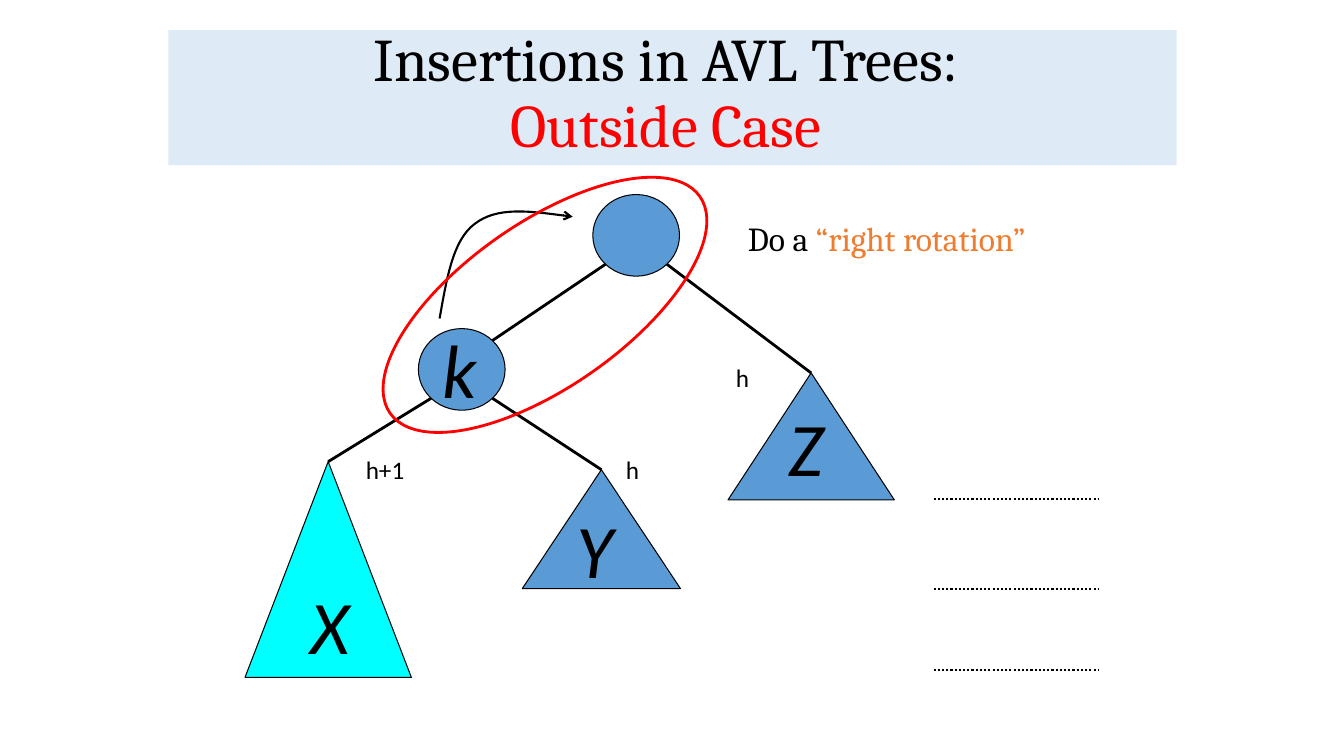
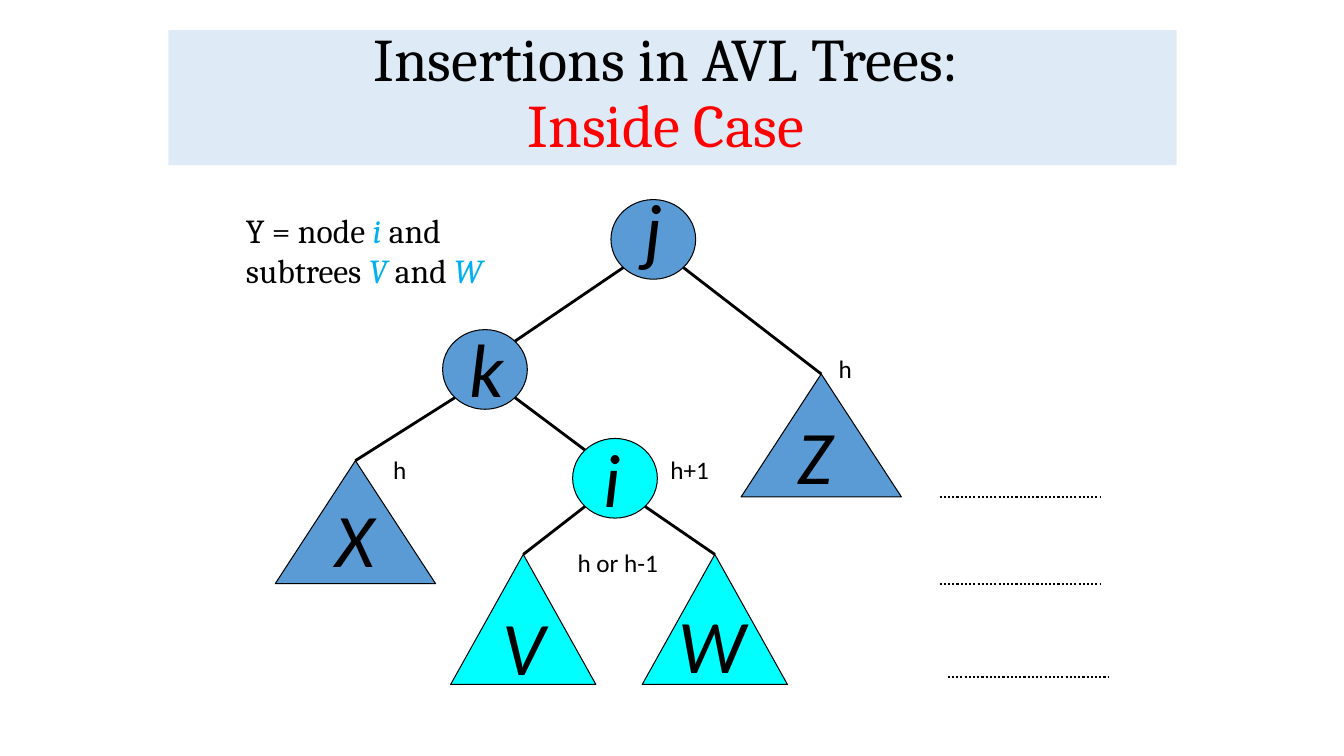
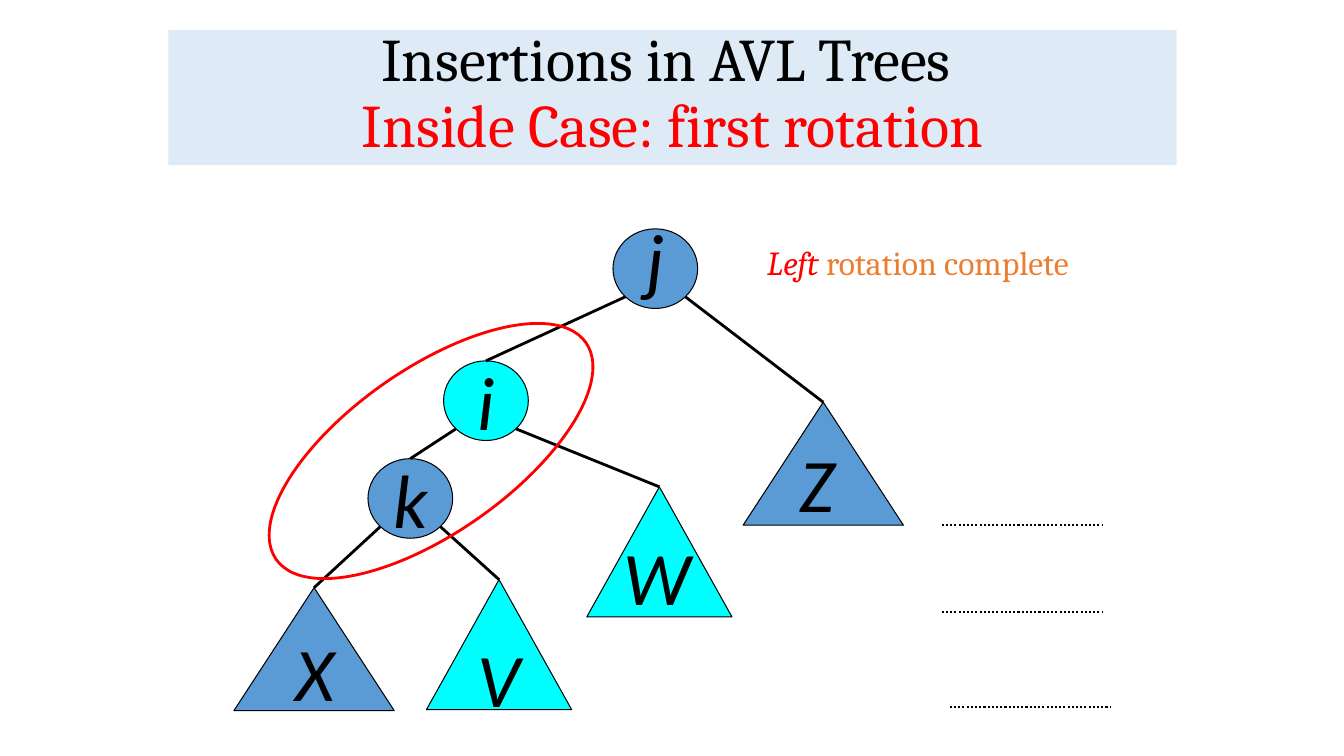
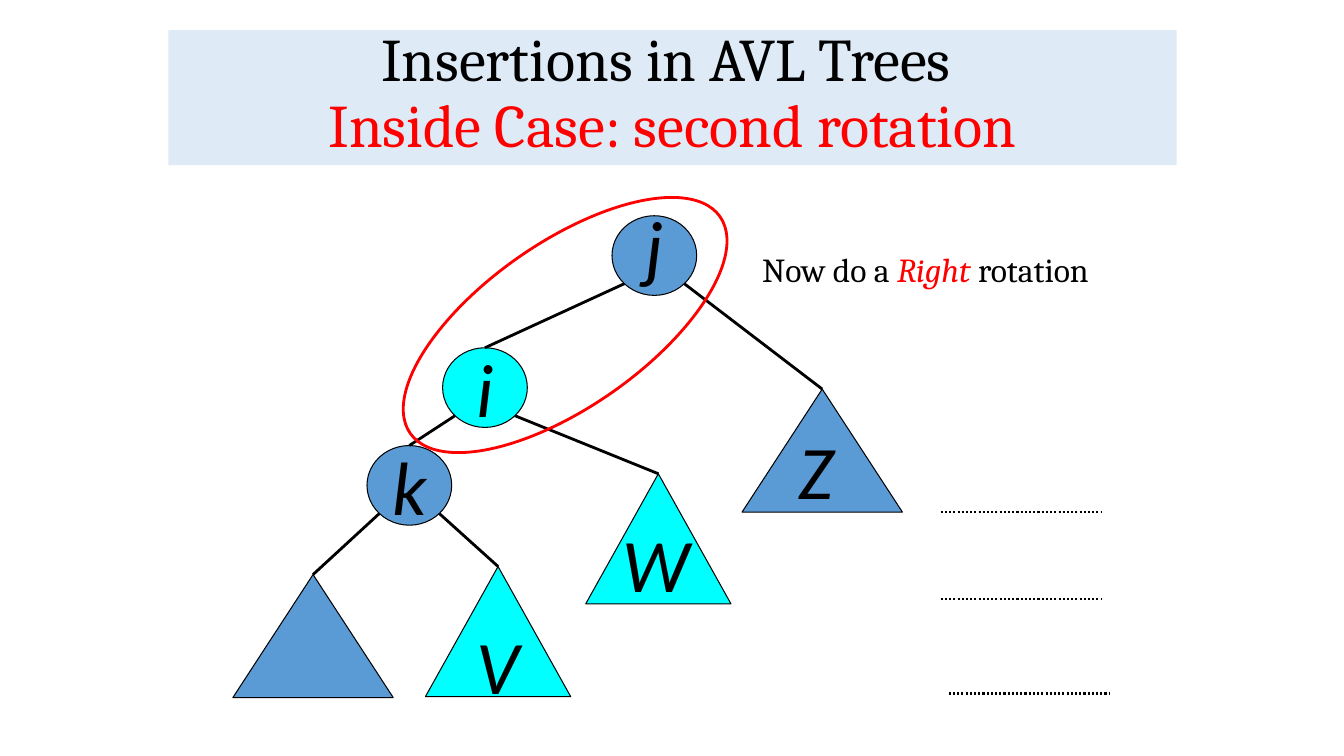
from dataclasses import dataclass
from math import sqrt
from typing import Optional

from lxml import etree
from pptx import Presentation
from pptx import util as u
from pptx.dml.color import RGBColor
from pptx.enum import dml, shapes, text
from pptx.oxml.ns import qn

BLACK = RGBColor(0x00, 0x00, 0x00)
RED = RGBColor(0xFF, 0x00, 0x00)
ORANGE = RGBColor(0xED, 0x7D, 0x31)
SKY = RGBColor(0x00, 0xB0, 0xF0)
BLUE = RGBColor(0x5B, 0x9B, 0xD5)
CYAN = RGBColor(0x00, 0xFF, 0xFF)
BAND = RGBColor(0xDE, 0xEB, 0xF7)

HEADING_FONT = "Cambria"
BODY_FONT = "Calibri"
CIRCLE = shapes.MSO_SHAPE.OVAL
TRIANGLE = shapes.MSO_SHAPE.ISOSCELES_TRIANGLE


@dataclass
class Node:
    """A tree node or subtree, placed relative to the tree's origin."""
    left: float
    top: float
    width: float
    height: float
    colour: RGBColor
    label_offset: Optional[tuple] = None  # None centres the label in the shape
    kind: shapes.MSO_SHAPE = TRIANGLE


def circle(left, top, colour, label_offset=None, size=(0.84, 0.79)):
    return Node(left, top, *size, colour, label_offset, CIRCLE)


def box_lengths(*lengths):
    return [u.Inches(length) for length in lengths]


# Text
def style_font(font, name, size, colour=None, italic=None):
    font.name, font.size, font.italic = name, u.Pt(size), italic
    if colour is not None:
        font.color.rgb = colour


def add_runs(paragraph, runs):
    for words, colour, italic in runs:
        run = paragraph.add_run()
        run.text = words
        run.font.color.rgb = colour
        if italic:
            run.font.italic = True


def add_text_box(slide, box, wrap=False):
    frame = slide.shapes.add_textbox(*box_lengths(*box)).text_frame
    frame.word_wrap = wrap
    frame.auto_size = text.MSO_AUTO_SIZE.SHAPE_TO_FIT_TEXT
    return frame


def add_note(slide, box, *lines):
    frame = add_text_box(slide, box)
    for index, runs in enumerate(lines):
        paragraph = frame.add_paragraph() if index else frame.paragraphs[0]
        style_font(paragraph.font, HEADING_FONT, 24)
        add_runs(paragraph, runs)


def add_height(slide, left, top, words, width=0.36):
    paragraph = add_text_box(slide, (left, top, width, 0.43)).paragraphs[0]
    paragraph.text = words
    style_font(paragraph.font, BODY_FONT, 18, BLACK)


def write_letter(frame, letter):
    paragraph = frame.paragraphs[0]
    paragraph.text = letter
    style_font(paragraph.font, BODY_FONT, 54, BLACK, True)
    return paragraph


# Shapes and lines
def add_outlined(slide, kind, box, fill, line_colour, line_width):
    shape = slide.shapes.add_shape(kind, *box_lengths(*box))
    shape.shadow.inherit = False
    if fill is None:
        shape.fill.background()
    else:
        shape.fill.solid()
        shape.fill.fore_color.rgb = fill
    shape.line.color.rgb = line_colour
    shape.line.width = u.Pt(line_width)
    return shape


def add_line(slide, start, end, width, dash=None):
    connector = slide.shapes.add_connector(
        shapes.MSO_CONNECTOR.STRAIGHT, *box_lengths(*start, *end))
    connector.line.color.rgb = BLACK
    connector.line.width = u.Pt(width)
    if dash is not None:
        connector.line.dash_style = dash
    etree.SubElement(connector.element.spPr, qn("a:effectLst"))
    return connector


def add_ring(slide, left, top):
    ring = add_outlined(slide, CIRCLE, (left, top, 3.75, 1.63), None, RED, 2)
    ring.rotation = 325


def add_rotation_arrow(slide, points):
    """Draw a curve through start point plus groups of three Bézier points."""
    start, *rest = [tuple(box_lengths(*point)) for point in points]
    builder = slide.shapes.build_freeform(*start)
    builder.add_line_segments(rest, close=False)
    arrow = builder.convert_to_shape()
    arrow.shadow.inherit = False
    arrow.fill.background()
    arrow.line.color.rgb = BLACK
    arrow.line.width = u.Pt(1.5)
    # Turn each three straight segments into one cubic segment
    outline = arrow.element.spPr.find(".//" + qn("a:path"))
    segments = outline.findall(qn("a:lnTo"))
    for index, segment in enumerate(segments):
        if index % 3 == 0:
            curve = etree.SubElement(outline, qn("a:cubicBezTo"))
        curve.append(segment[0])
        outline.remove(segment)
    line = arrow.element.spPr.find(qn("a:ln"))
    etree.SubElement(line, qn("a:tailEnd"), type="arrow")


# Regions
def add_title(slide, heading, case):
    band = slide.shapes.add_shape(
        shapes.MSO_SHAPE.RECTANGLE, *box_lengths(1.67, 0.3, 10, 1.34))
    band.shadow.inherit = False
    band.fill.solid()
    band.fill.fore_color.rgb = BAND
    band.line.fill.background()
    frame = band.text_frame
    frame.word_wrap = True
    frame.vertical_anchor = text.MSO_ANCHOR.BOTTOM
    paragraph = frame.paragraphs[0]
    paragraph.alignment = text.PP_ALIGN.CENTER
    paragraph.line_spacing = 0.9
    style_font(paragraph.font, HEADING_FONT, 43.2)
    add_runs(paragraph, [(heading, BLACK, False)])
    paragraph.add_line_break()
    add_runs(paragraph, [(case, RED, False)])


def draw_node(slide, origin, node, letter):
    left, top = origin[0] + node.left, origin[1] + node.top
    shape = add_outlined(slide, node.kind, (left, top, node.width, node.height),
                         node.colour, BLACK, 0.75)
    if letter and node.label_offset:
        across, down = node.label_offset
        frame = add_text_box(slide, (left + across, top + down, 0.52, 1), True)
        write_letter(frame, letter)
    elif letter:
        frame = shape.text_frame
        frame.word_wrap = False
        frame.vertical_anchor = text.MSO_ANCHOR.MIDDLE
        write_letter(frame, letter).alignment = text.PP_ALIGN.CENTER
    return shape


def corner(origin, node, side, down):
    """Point on a circle's diagonal; side and down are -1 or 1."""
    return (origin[0] + node.left + node.width / 2 * (1 + side / sqrt(2)),
            origin[1] + node.top + node.height / 2 * (1 + down / sqrt(2)))


def draw_tree(slide, origin, nodes, edges, corner_edges=(), unlabelled=""):
    """Edges are parent and child letters; corner edges meet a child's diagonal."""
    drawn = {letter: draw_node(slide, origin, node,
                               "" if letter in unlabelled else letter)
             for letter, node in nodes.items()}
    for edge in (*edges, *corner_edges):
        parent, child = (nodes[letter] for letter in edge)
        side = 1 if child.left > parent.left + parent.width / 2 else -1
        if child.left + child.width / 2 > parent.left + parent.width / 2:
            side = 1
        connector = add_line(slide, corner(origin, parent, side, 1),
                             corner(origin, child, -side, -1), 2)
        if edge not in corner_edges:
            connector.end_connect(drawn[edge[1]], 0)


def draw_levels(slide, left, tops, width=1.6, last_shift=0.08):
    for index, top in enumerate(tops):
        start = left + (last_shift if index == len(tops) - 1 else 0)
        add_line(slide, (start, top), (start + width, top), 1.5,
                 dml.MSO_LINE.ROUND_DOT)


def draw_rotated_tree(slide, left, top, unlabelled=""):
    nodes = {
        "j": circle(3.76, 0, BLUE, (0.23, -0.22)),
        "k": circle(1.33, 2.28, BLUE),
        "X": Node(0, 3.56, 1.59, 1.22, BLUE, (0.51, 0.33)),
        "V": Node(1.91, 3.48, 1.44, 1.29, CYAN),
        "Z": Node(5.05, 1.72, 1.59, 1.22, BLUE, (0.46, 0.3)),
        "W": Node(3.5, 2.56, 1.44, 1.29, CYAN, (0.27, 0.38)),
        "i": circle(2.08, 1.31, CYAN),
    }
    draw_tree(slide, (left, top), nodes, ("ji", "jZ", "ik", "iW", "kX", "kV"),
              unlabelled=unlabelled)
    draw_levels(slide, left + 7.02, [top + drop for drop in (2.94, 3.8, 4.74)])


# Slides
def outside_case(slide):
    add_title(slide, "Insertions in AVL Trees: ", "Outside Case ")
    size = (0.86, 0.81)
    nodes = {
        "j": circle(3.45, 0, BLUE, size=size),
        "k": circle(1.72, 1.33, BLUE, (0.14, -0.11), size),
        "X": Node(0, 2.65, 1.65, 2.14, CYAN, (0.55, 1.11)),
        "Y": Node(2.75, 2.73, 1.57, 1.18, BLUE, (0.44, 0.28)),
        "Z": Node(4.79, 1.77, 1.65, 1.26, BLUE, (0.5, 0.23)),
    }
    draw_tree(slide, (2.43, 1.93), nodes, ("jZ", "kX", "kY"), ("jk",), "j")
    draw_levels(slide, 9.26, (4.95, 5.84, 6.65), 1.64, 0)
    add_note(slide, (7.32, 2.11, 3.25, 0.5),
             [("Do a ", BLACK, False), ("“right rotation”", ORANGE, False)])
    add_rotation_arrow(slide, [(4.36, 3.16), (4.43, 2.77), (4.49, 2.38), (4.71, 2.22),
                               (4.93, 2.05), (5.3, 2.1), (5.68, 2.15)])
    add_ring(slide, 3.53, 2.21)
    add_height(slide, 7.2, 3.55, "h")
    add_height(slide, 3.53, 4.46, "h+1", 0.67)
    add_height(slide, 6.11, 4.46, "h")


def inside_case(slide):
    add_title(slide, "Insertions in AVL Trees: ", "Inside Case ")
    nodes = {
        "j": circle(3.33, 0, BLUE, (0.23, -0.22)),
        "k": circle(1.66, 1.29, BLUE, (0.17, -0.13)),
        "X": Node(0, 2.59, 1.59, 1.22, BLUE, (0.5, 0.26)),
        "V": Node(1.74, 3.52, 1.44, 1.29, CYAN, (0.42, 0.4)),
        "Z": Node(4.62, 1.73, 1.59, 1.22, BLUE, (0.46, 0.3)),
        "W": Node(3.64, 3.52, 1.44, 1.29, CYAN, (0.26, 0.38)),
        "i": circle(2.95, 2.37, CYAN, (0.21, -0.11)),
    }
    draw_tree(slide, (2.73, 1.98), nodes, ("jZ", "kX", "iV", "iW"), ("jk", "ki"))
    draw_levels(slide, 9.32, (4.93, 5.79, 6.72))
    add_note(slide, (2.34, 2.03, 2.81, 0.91),
             [("Y = node ", BLACK, False), ("i", SKY, True), (" and", BLACK, False)],
             [("subtrees ", BLACK, False), ("V", SKY, True),
              (" and ", BLACK, False), ("W", SKY, True)])
    add_height(slide, 8.22, 3.46, "h")
    add_height(slide, 6.55, 4.46, "h+1", 0.67)
    add_height(slide, 3.8, 4.46, "h")
    add_height(slide, 5.63, 5.38, "h or h-1", 1.16)


def first_rotation(slide):
    add_title(slide, "Insertions in AVL Trees ", "Inside Case: first rotation")
    draw_rotated_tree(slide, 2.32, 2.27)
    add_note(slide, (7.51, 2.35, 3.52, 0.5),
             [("Left ", RED, True), ("rotation complete", ORANGE, False)])
    add_ring(slide, 2.4, 3.66)


def second_rotation(slide):
    add_title(slide, "Insertions in AVL Trees ", "Inside Case: second rotation")
    draw_rotated_tree(slide, 2.31, 2.14, unlabelled="X")
    add_ring(slide, 3.73, 2.41)
    add_note(slide, (7.46, 2.42, 3.8, 0.5),
             [("Now do a ", BLACK, False), ("Right ", RED, True),
              ("rotation", BLACK, False)])


def main():
    presentation = Presentation()
    presentation.slide_width = u.Inches(13.33)
    presentation.slide_height = u.Inches(7.5)
    blank = presentation.slide_layouts[6]
    for build in (outside_case, inside_case, first_rotation, second_rotation):
        build(presentation.slides.add_slide(blank))
    presentation.save("out.pptx")


if __name__ == "__main__":
    main()
